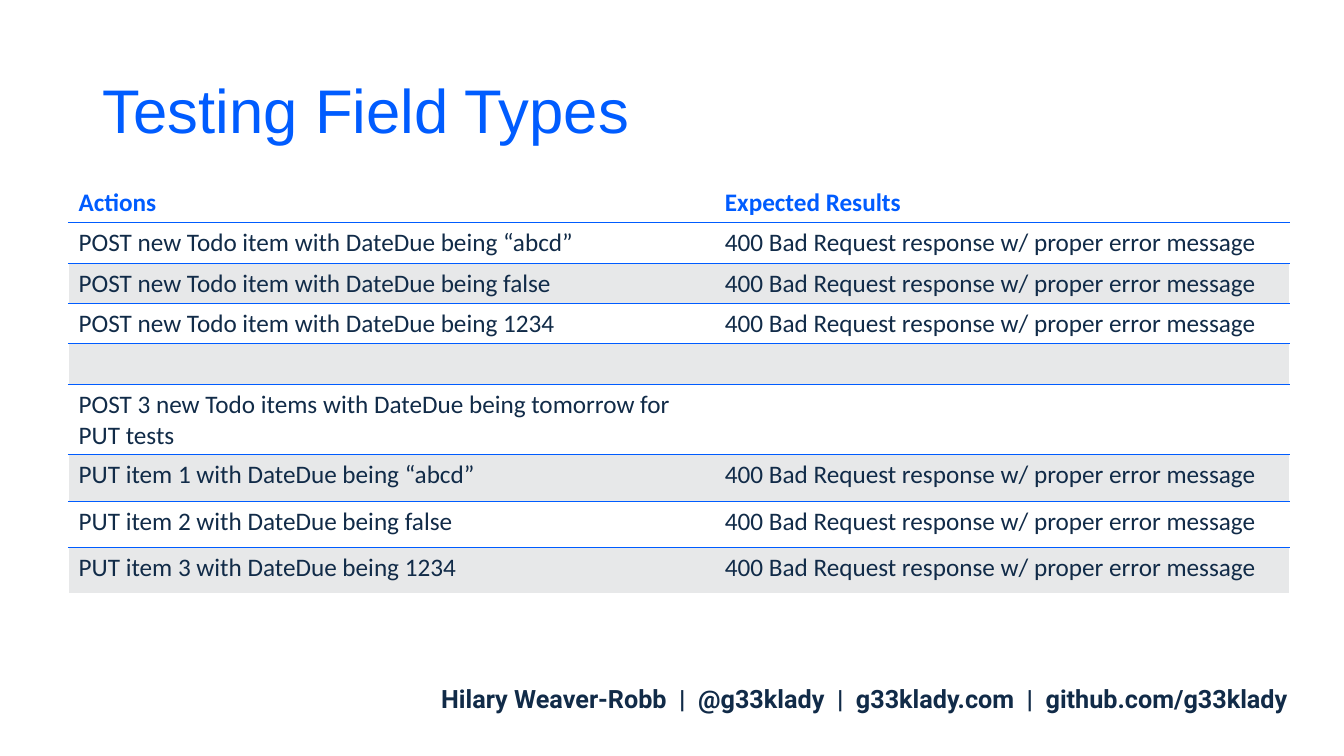
from dataclasses import dataclass

from lxml import etree
from pptx import Presentation
from pptx.dml.color import RGBColor
from pptx.enum.text import MSO_ANCHOR, PP_ALIGN
from pptx.oxml.ns import qn
from pptx.util import Inches, Pt

LEFT = PP_ALIGN.LEFT
CENTER = PP_ALIGN.CENTER
MIDDLE = MSO_ANCHOR.MIDDLE
TITLE_ONLY = 5


@dataclass(frozen=True)
class Theme:
    """Colours, fonts and type sizes of the slide."""
    blue: str = "005CFF"
    navy: str = "112B48"
    white: str = "FFFFFF"
    band: str = "E7E8E9"
    title_font: str = "Arial"
    table_font: str = "Calibri"
    footer_font: str = "Roboto"
    title_size: int = 44
    body_size: int = 18
    border_width: int = 1


THEME = Theme()
ERROR = "400 Bad Request response w/ proper error message"
TEST_ROWS = [
    ("Actions", "Expected Results"),
    ("POST new Todo item with DateDue being “abcd”", ERROR),
    ("POST new Todo item with DateDue being false", ERROR),
    ("POST new Todo item with DateDue being 1234", ERROR),
    ("", ""),
    ("POST 3 new Todo items with DateDue being tomorrow for PUT tests", ""),
    ("PUT item 1 with DateDue being “abcd”", ERROR),
    ("PUT item 2 with DateDue being false", ERROR),
    ("PUT item 3 with DateDue being 1234", ERROR),
]
COLUMN_WIDTHS = [6.41, 5.7]
ROW_HEIGHTS = [0.39] * 6 + [0.46] * 3


def write_text(text_frame, text, font_name, size, color, bold=False, alignment=LEFT):
    """Fill a text frame with one formatted paragraph."""
    text_frame.text = text
    paragraph = text_frame.paragraphs[0]
    paragraph.alignment = alignment
    for run in paragraph.runs:
        run.font.name = font_name
        run.font.size = Pt(size)
        run.font.bold = bold
        run.font.color.rgb = RGBColor.from_string(color)
    return paragraph


def set_borders(cell, colors):
    """Draw the cell borders, leaving out each side whose colour is None."""
    properties = cell._tc.get_or_add_tcPr()
    for side, color in colors.items():
        line = etree.SubElement(properties, qn(f"a:ln{side}"), w=str(Pt(THEME.border_width)))
        if color is None:
            etree.SubElement(line, qn("a:noFill"))
        else:
            fill = etree.SubElement(line, qn("a:solidFill"))
            etree.SubElement(fill, qn("a:srgbClr"), val=color)


def add_title(slide, left, top, width, height):
    """Place and format the title placeholder."""
    title = slide.shapes.title
    title.left, title.top = Inches(left), Inches(top)
    title.width, title.height = Inches(width), Inches(height)
    paragraph = write_text(title.text_frame, "Testing Field Types", THEME.title_font,
                           THEME.title_size, THEME.blue)
    paragraph.line_spacing = 0.9
    title.text_frame.vertical_anchor = MIDDLE


def add_test_table(slide, left, top):
    """Add the banded table of actions and expected results."""
    frame = slide.shapes.add_table(
        len(TEST_ROWS), len(COLUMN_WIDTHS), Inches(left), Inches(top),
        Inches(sum(COLUMN_WIDTHS)), Inches(sum(ROW_HEIGHTS)))
    table = frame.table
    for column, width in zip(table.columns, COLUMN_WIDTHS):
        column.width = Inches(width)
    last_row, last_column = len(TEST_ROWS) - 1, len(COLUMN_WIDTHS) - 1
    for row_index, texts in enumerate(TEST_ROWS):
        table.rows[row_index].height = Inches(ROW_HEIGHTS[row_index])
        is_header = row_index == 0
        is_banded = row_index > 0 and row_index % 2 == 0
        for column_index, text in enumerate(texts):
            cell = table.cell(row_index, column_index)
            write_text(cell.text_frame, text, THEME.table_font, THEME.body_size,
                       THEME.blue if is_header else THEME.navy, bold=is_header)
            set_borders(cell, {
                "L": THEME.white if column_index == 0 else None,
                "R": THEME.white if column_index == last_column else None,
                "T": THEME.white if is_header else THEME.blue,
                "B": THEME.white if row_index == last_row else THEME.blue,
            })
            cell.fill.solid()
            cell.fill.fore_color.rgb = RGBColor.from_string(
                THEME.band if is_banded else THEME.white)


def add_footer(slide, left, top, width, height):
    """Add the speaker's contact line."""
    footer = slide.shapes.add_textbox(Inches(left), Inches(top), Inches(width), Inches(height))
    footer.text_frame.word_wrap = True
    contacts = ["Hilary Weaver-Robb", "@g33klady", "g33klady.com", "github.com/g33klady"]
    write_text(footer.text_frame, "  |  ".join(contacts), THEME.footer_font,
               THEME.body_size, THEME.navy, bold=True, alignment=CENTER)


def main():
    """Build and save the presentation."""
    presentation = Presentation()
    presentation.slide_width, presentation.slide_height = Inches(13.33), Inches(7.5)
    slide = presentation.slides.add_slide(presentation.slide_layouts[TITLE_ONLY])
    add_title(slide, 0.92, 0.4, 11.5, 1.45)
    add_footer(slide, 4.07, 6.73, 9.01, 0.4)
    add_test_table(slide, 0.68, 1.81)
    presentation.save("out.pptx")


if __name__ == "__main__":
    main()
